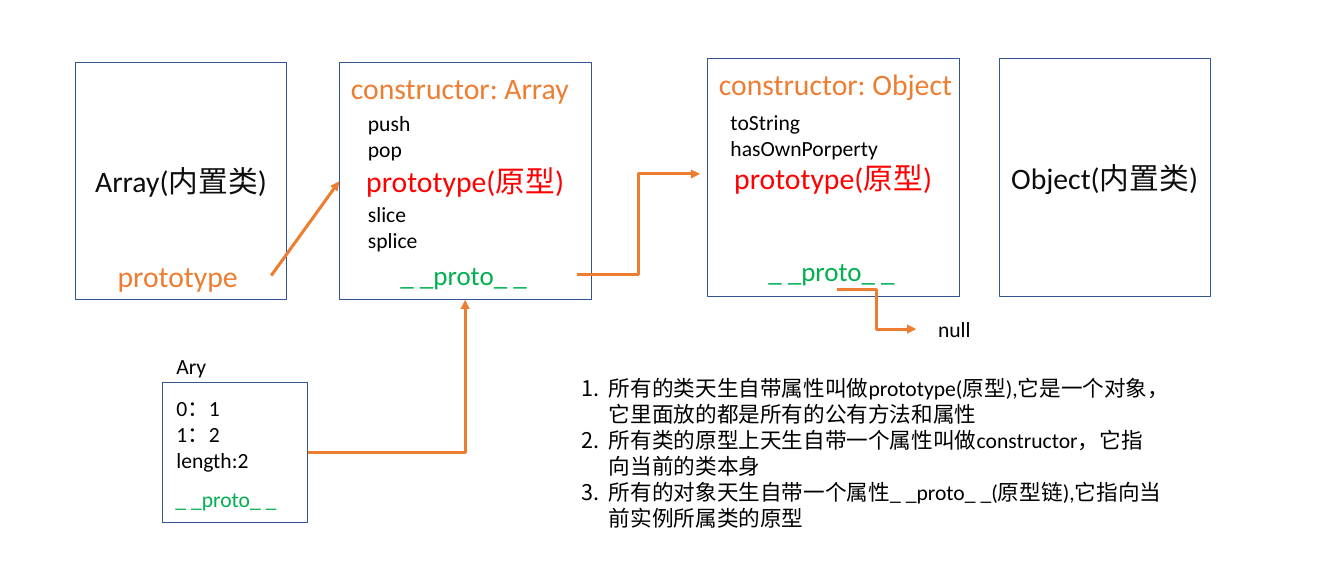
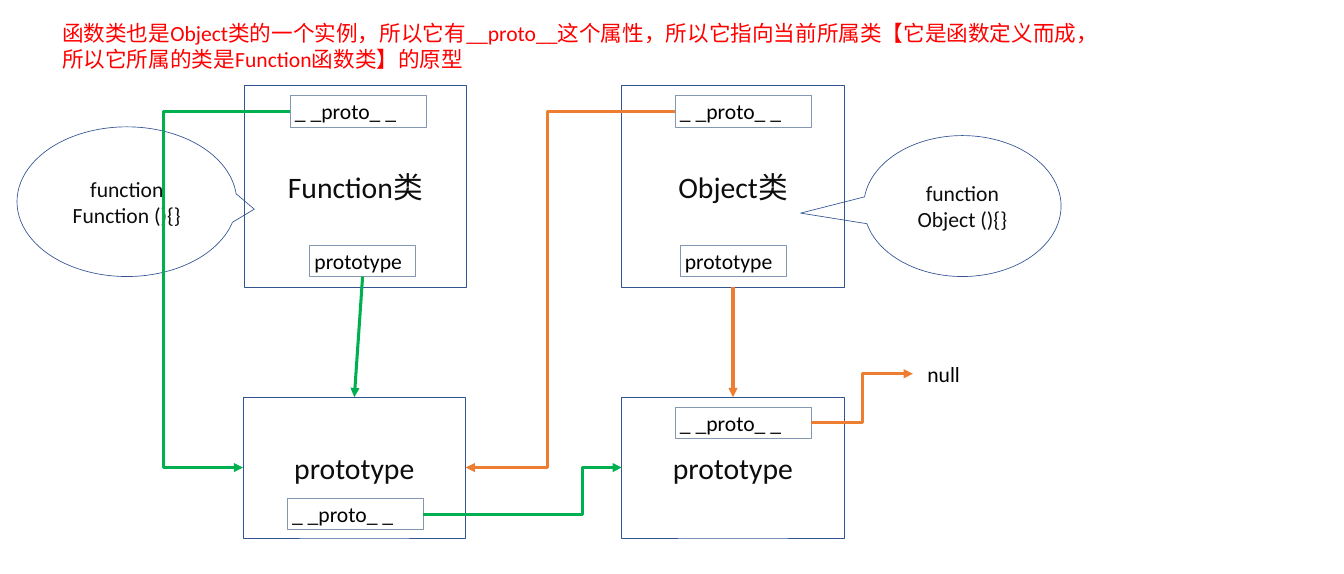
from dataclasses import dataclass

from lxml.etree import SubElement
from pptx import Presentation
from pptx.dml.color import RGBColor
from pptx.enum.shapes import MSO_CONNECTOR as Link, MSO_SHAPE as Preset
from pptx.enum.text import MSO_ANCHOR as Anchor, MSO_AUTO_SIZE as AutoSize, PP_ALIGN as Align
from pptx.oxml.ns import qn
from pptx.shapes.autoshape import Shape
from pptx.slide import Slide
from pptx.util import Inches, Pt

FONT = "Calibri"
BLACK, INK, RED = "000000", "0D0D0D", "FF0000"
ORANGE, GREEN = "ED7D31", "00B050"
BORDER, TAG_BORDER = "325491", "8497B0"
TITLE, MEDIUM, BODY = 44, 40, 32
PROTO = "_ _proto_ _"
PROTOTYPE = "prototype"


@dataclass(frozen=True)
class Label:
    text: str
    left: float
    top: float
    width: float
    height: float = 0.64
    size: int = BODY
    color: str = BLACK
    numbered: bool = False


@dataclass(frozen=True)
class Box:
    text: str
    left: float
    top: float
    width: float
    height: float
    color: str = INK
    size: int = TITLE
    tip: tuple[float, float] | None = None


@dataclass(frozen=True)
class Arrow:
    start: tuple[float, float]
    end: tuple[float, float]
    color: str = ORANGE
    kind: str = "bentConnector3"
    turn: float | None = None


def rgb(color: str) -> RGBColor:
    return RGBColor.from_string(color)


def write(shape: Shape, item: Label | Box, align: Align, anchor: Anchor) -> None:
    frame = shape.text_frame
    frame.word_wrap = True
    frame.vertical_anchor = anchor
    for index, line in enumerate(item.text.split("\n")):
        paragraph = frame.add_paragraph() if index else frame.paragraphs[0]
        paragraph.alignment = align
        run = paragraph.add_run()
        run.text = line
        run.font.name = FONT
        run.font.size = Pt(item.size)
        run.font.color.rgb = rgb(item.color)


def outline(shape: Shape, color: str, width: float) -> None:
    shape.shadow.inherit = False
    shape.fill.background()
    shape.line.color.rgb = rgb(color)
    shape.line.width = Pt(width)


def add_label(slide: Slide, label: Label) -> None:
    bounds = map(Inches, (label.left, label.top, label.width, label.height))
    shape = slide.shapes.add_textbox(*bounds)
    write(shape, label, Align.LEFT, Anchor.TOP)
    shape.text_frame.auto_size = AutoSize.SHAPE_TO_FIT_TEXT
    if label.numbered:
        for paragraph in shape.text_frame.paragraphs:
            properties = paragraph._p.get_or_add_pPr()
            properties.set("marL", str(Inches(0.56)))
            properties.set("indent", str(-Inches(0.56)))
            SubElement(properties, qn("a:buAutoNum"), type="arabicPeriod")


def add_tag(slide: Slide, label: Label) -> None:
    bounds = map(Inches, (label.left, label.top, label.width, label.height))
    shape = slide.shapes.add_shape(Preset.RECTANGLE, *bounds)
    outline(shape, TAG_BORDER, 0.75)
    write(shape, label, Align.LEFT, Anchor.TOP)
    shape.text_frame.auto_size = AutoSize.SHAPE_TO_FIT_TEXT


def add_box(slide: Slide, box: Box) -> None:
    preset = Preset.OVAL_CALLOUT if box.tip else Preset.RECTANGLE
    bounds = map(Inches, (box.left, box.top, box.width, box.height))
    shape = slide.shapes.add_shape(preset, *bounds)
    outline(shape, BORDER, 1)
    for index, value in enumerate(box.tip or ()):
        shape.adjustments[index] = value
    if box.text:
        write(shape, box, Align.CENTER, Anchor.MIDDLE)


def add_arrow(slide: Slide, arrow: Arrow) -> None:
    ends = map(Inches, (*arrow.start, *arrow.end))
    connector = slide.shapes.add_connector(Link.ELBOW, *ends)
    connector.line.color.rgb = rgb(arrow.color)
    connector.line.width = Pt(4.5)
    SubElement(connector.get_or_add_ln(), qn("a:tailEnd"), type="triangle")
    properties = connector._element.spPr
    SubElement(properties, qn("a:effectLst"))
    geometry = properties.find(qn("a:prstGeom"))
    geometry.set("prst", arrow.kind)
    if arrow.turn is not None:
        share = (arrow.turn - arrow.start[0]) / (arrow.end[0] - arrow.start[0])
        guides = geometry.find(qn("a:avLst"))
        SubElement(guides, qn("a:gd"), name="adj1", fmla=f"val {round(share * 100000)}")


def add_prototype_panel(slide: Slide, left: float, top: float, owner: str) -> None:
    add_box(slide, Box("prototype(原型)", left, top, 5.18, 4.88, RED))
    add_label(slide, Label(f"constructor: {owner}", left + 0.14, top + 0.1, 5.05, 0.84, TITLE, ORANGE))
    add_label(slide, Label(PROTO, left + 1.16, top + 3.98, 3.72, 0.77, MEDIUM, GREEN))


def build_array_chain(slide: Slide) -> None:
    boxes = [
        Box("Array(内置类)", 1.55, 1.28, 4.35, 4.88),
        Box("Object(内置类)", 20.55, 1.21, 4.35, 4.88),
        Box("", 3.33, 7.87, 3, 2.88),
    ]
    rules = "\n".join([
        "所有的类天生自带属性叫做prototype(原型),它是一个对象，它里面放的都是所有的公有方法和属性",
        "所有类的原型上天生自带一个属性叫做constructor，它指向当前的类本身",
        "所有的对象天生自带一个属性_ _proto_ _(原型链),它指向当前实例所属类的原型",
    ])
    labels = [
        Label(PROTOTYPE, 2.32, 5.25, 3.25, 0.84, TITLE, ORANGE),
        Label("push\npop", 7.47, 2.22, 4.55, 1.18),
        Label("slice\nsplice", 7.47, 4.09, 4.55, 1.18),
        Label("toString\nhasOwnPorperty", 14.93, 2.19, 4.55, 1.18),
        Label("Ary", 3.53, 7.22, 2.66),
        Label("0：1\n1：2\nlength:2", 3.53, 8.08, 2.45, 1.72),
        Label(PROTO, 3.51, 9.95, 2.66, color=GREEN),
        Label("null", 19.2, 6.45, 0.96),
        Label(rules, 11.87, 7.67, 12.13, 3.33, numbered=True),
    ]
    arrows = [
        Arrow((5.58, 5.67), (6.98, 3.73), kind="line"),
        Arrow((6.33, 9.31), (9.57, 6.17), kind="bentConnector2"),
        Arrow((11.87, 5.65), (14.4, 3.58)),
        Arrow((17.21, 5.96), (18.85, 6.77)),
    ]
    for box in boxes:
        add_box(slide, box)
    add_prototype_panel(slide, 6.98, 1.28, "Array")
    add_prototype_panel(slide, 14.55, 1.21, "Object")
    for label in labels:
        add_label(slide, label)
    for arrow in arrows:
        add_arrow(slide, arrow)


def build_function_chain(slide: Slide) -> None:
    boxes = [
        Box("Function类", 5.02, 1.75, 4.58, 4.16),
        Box("Object类", 12.79, 1.75, 4.58, 4.16),
        Box(PROTOTYPE, 5, 8.17, 4.58, 2.9),
        Box(PROTOTYPE, 12.79, 8.17, 4.58, 2.9),
        Box("function Function (){}", 0.35, 2.61, 4.52, 3.08, size=BODY, tip=(0.58, 0.05)),
        Box("function Object (){}", 17.77, 2.79, 4.06, 2.9, size=BODY, tip=(-0.82, 0.05)),
    ]
    prototype_tags = [Label(PROTOTYPE, left, 5.05, 2.18) for left in (6.37, 13.99)]
    proto_places = [(5.97, 1.97), (13.89, 1.97), (5.91, 10.26), (13.89, 8.38)]
    proto_tags = [Label(PROTO, left, top, 2.8) for left, top in proto_places]
    arrows = [
        Arrow((15.08, 5.91), (15.08, 8.17), kind="line"),
        Arrow((7.46, 5.69), (7.29, 8.17), GREEN, "line"),
        Arrow((5.97, 2.29), (5, 9.62), GREEN, turn=3.37),
        Arrow((13.89, 2.29), (9.58, 9.62), turn=11.27),
        Arrow((8.71, 10.58), (12.79, 9.62), GREEN, turn=11.98),
        Arrow((16.69, 8.7), (18.78, 7.69)),
    ]
    summary = (
        "函数类也是Object类的一个实例，所以它有__proto__这个属性，"
        "所以它指向当前所属类【它是函数定义而成，所以它所属的类是Function函数类】的原型"
    )
    for box in boxes:
        add_box(slide, box)
    for tag in prototype_tags + proto_tags:
        add_tag(slide, tag)
    for arrow in arrows:
        add_arrow(slide, arrow)
    add_label(slide, Label("null", 18.98, 7.37, 1.05))
    add_label(slide, Label(summary, 1.18, 0.37, 21.25, 1.18, color=RED))


def main() -> None:
    presentation = Presentation()
    presentation.slide_width = Inches(27.65)
    presentation.slide_height = Inches(11.81)
    blank = presentation.slide_layouts[6]
    for build in (build_array_chain, build_function_chain):
        build(presentation.slides.add_slide(blank))
    presentation.save("out.pptx")


main()
